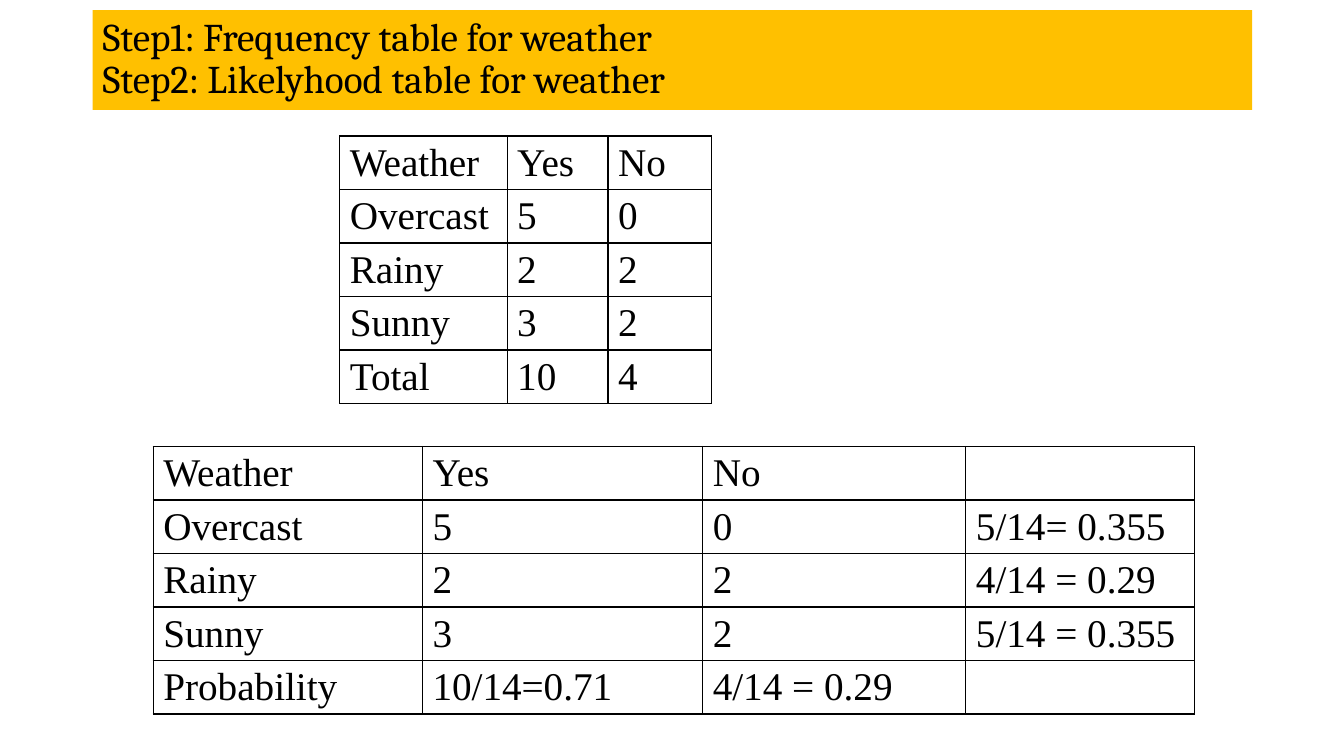
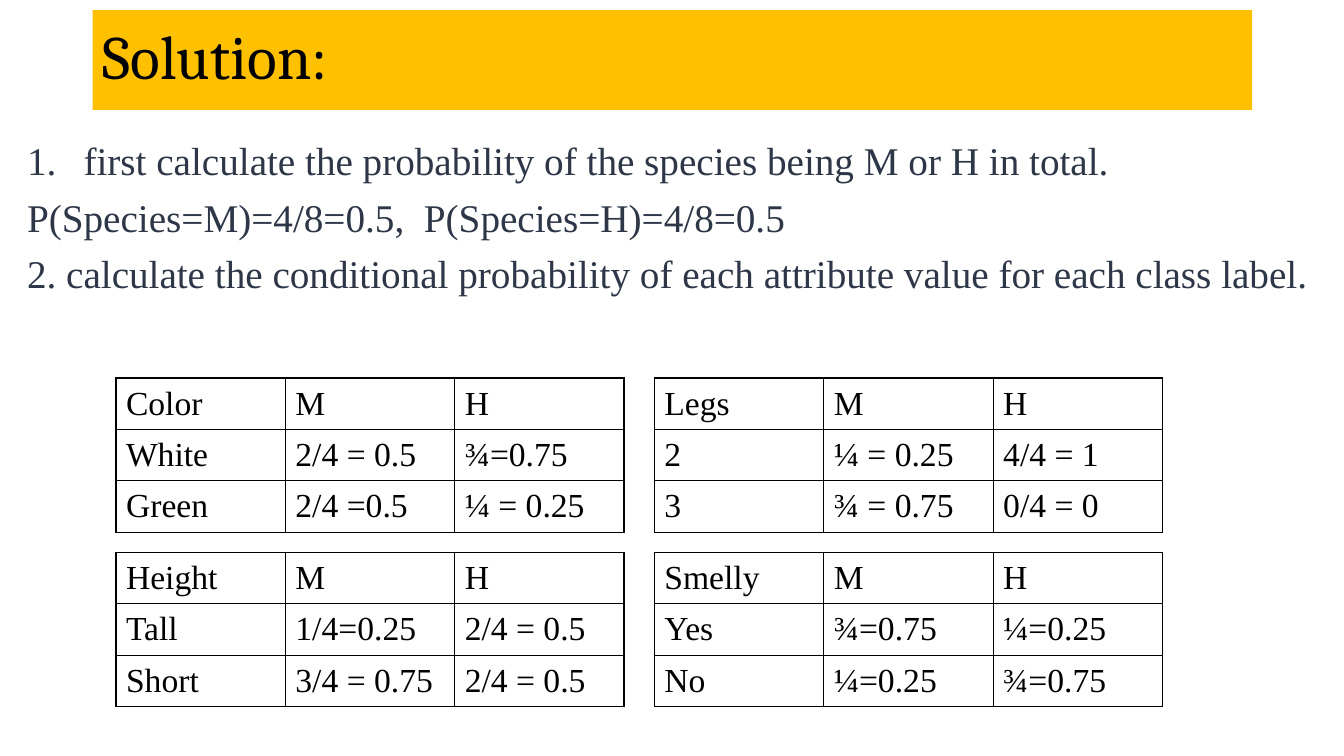
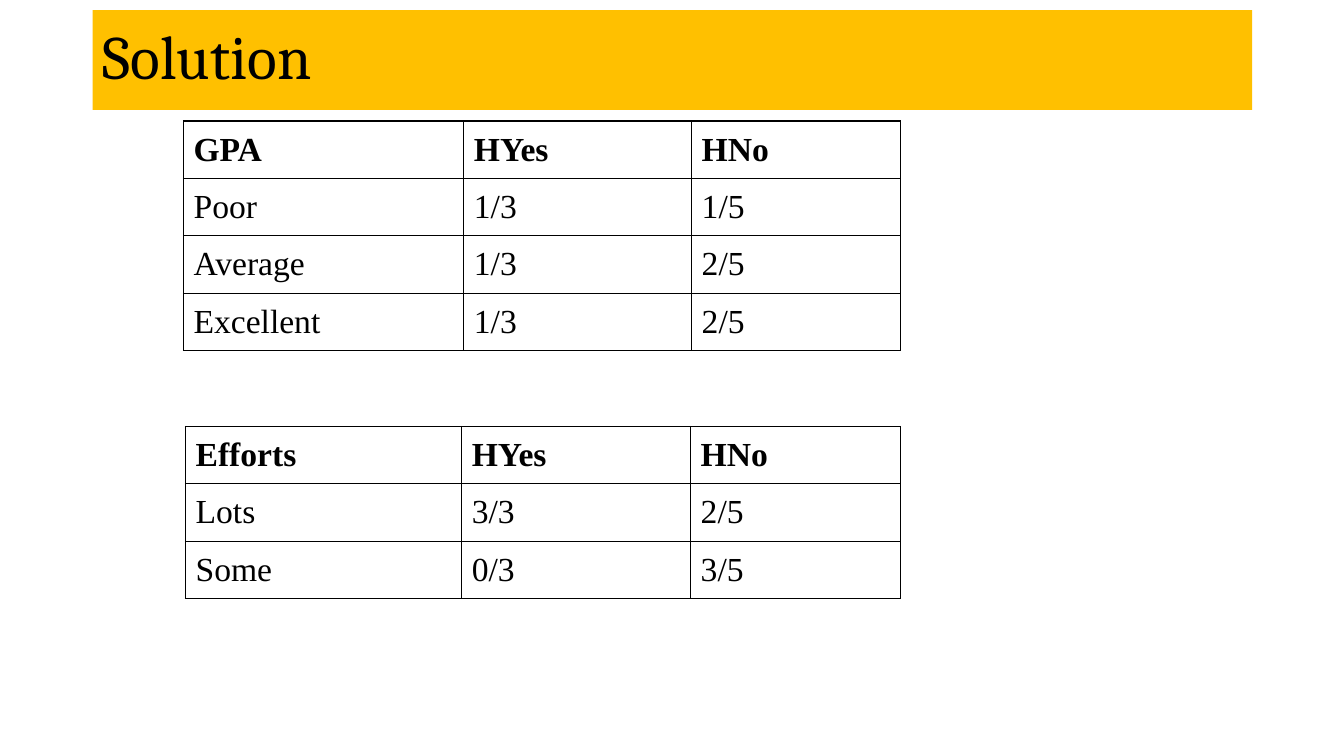
from dataclasses import dataclass

from lxml import etree
from pptx import Presentation
from pptx.dml.color import RGBColor
from pptx.enum.shapes import MSO_SHAPE
from pptx.enum.text import MSO_ANCHOR, PP_ALIGN
from pptx.oxml.ns import qn
from pptx.util import Inches, Pt

RECT = MSO_SHAPE.RECTANGLE
TOP, MIDDLE = MSO_ANCHOR.TOP, MSO_ANCHOR.MIDDLE
LEFT = PP_ALIGN.LEFT
BLANK_LAYOUT = 6


@dataclass(frozen=True)
class Theme:
    band: str = "FFC000"
    ink: str = "000000"
    body: str = "2D3748"
    title_font: str = "Cambria"
    text_font: str = "Times New Roman"
    title_size: int = 44
    large: int = 28
    medium: int = 24
    border: int = 1
    line_spacing: float = 0.9
    space_before: int = 10


THEME = Theme()
TITLE_BOX = (0.92, 0.1, 11.5, 0.99)


def style_runs(p, font, size, color, bold=False):
    for r in p.runs:
        r.font.name = font
        r.font.size = Pt(size)
        r.font.bold = bold
        r.font.color.rgb = RGBColor.from_string(color)


def add_title_band(slide, text, size=THEME.title_size):
    sp = slide.shapes.add_shape(RECT, *map(Inches, TITLE_BOX))
    sp.shadow.inherit = False
    sp.fill.solid()
    sp.fill.fore_color.rgb = RGBColor.from_string(THEME.band)
    sp.line.fill.background()
    tf = sp.text_frame
    tf.word_wrap = True
    tf.vertical_anchor = MIDDLE
    tf.text = text
    p = tf.paragraphs[0]
    p.alignment = LEFT
    p.line_spacing = THEME.line_spacing
    style_runs(p, THEME.title_font, size, THEME.ink)


def number_paragraph(p, indent):
    """Give the paragraph an automatic 1. 2. 3. number with a hanging indent."""
    pPr = p._p.get_or_add_pPr()
    pPr.set("marL", str(Inches(indent)))
    pPr.set("indent", str(-Inches(indent)))
    etree.SubElement(pPr, qn("a:buAutoNum"), type="arabicPeriod")


def add_steps(slide, box, lines):
    """Body text whose first line is numbered."""
    tf = slide.shapes.add_textbox(*map(Inches, box)).text_frame
    tf.word_wrap = True
    tf.text = "\n".join(lines)
    for i, p in enumerate(tf.paragraphs):
        p.line_spacing = THEME.line_spacing
        if i == 0:
            number_paragraph(p, 0.56)
        else:
            p.space_before = Pt(THEME.space_before)
        style_runs(p, THEME.text_font, THEME.large, THEME.body)


def set_borders(cell):
    tcPr = cell._tc.get_or_add_tcPr()
    for side in ("lnL", "lnR", "lnT", "lnB"):
        ln = etree.SubElement(tcPr, qn(f"a:{side}"), w=str(Pt(THEME.border)))
        fill = etree.SubElement(ln, qn("a:solidFill"))
        etree.SubElement(fill, qn("a:srgbClr"), val=THEME.ink)


def add_grid_table(slide, left, top, col_widths, row_height, rows,
                   size=THEME.medium, anchor=MIDDLE, bold_header=False):
    """Plain ruled table; each row is one string with cells split by |."""
    cells = [row.split("|") for row in rows]
    frame = slide.shapes.add_table(
        len(cells), len(col_widths), Inches(left), Inches(top),
        Inches(sum(col_widths)), Inches(row_height * len(cells)))
    table = frame.table
    table.first_row = table.horz_banding = False
    for column, width in zip(table.columns, col_widths):
        column.width = Inches(width)
    for i, row in enumerate(cells):
        table.rows[i].height = Inches(row_height)
        for j, text in enumerate(row):
            cell = table.cell(i, j)
            set_borders(cell)
            cell.fill.background()
            cell.vertical_anchor = anchor
            cell.text = text
            style_runs(cell.text_frame.paragraphs[0], THEME.text_font, size,
                       THEME.ink, bold_header and i == 0)


def build_weather(slide):
    add_title_band(slide, "Step1: Frequency table for weather\v"
                          "Step2: Likelyhood table for weather", THEME.large)
    frequency = ["Weather|Yes|No", "Overcast|5|0", "Rainy|2|2", "Sunny|3|2",
                 "Total|10|4"]
    likelihood = ["Weather|Yes|No|", "Overcast|5|0|5/14= 0.355",
                  "Rainy|2|2|4/14 = 0.29", "Sunny|3|2|5/14 = 0.355",
                  "Probability|10/14=0.71|4/14 = 0.29|"]
    for left, top, widths, rows in (
            (3.37, 1.35, (1.66, 1, 1.03), frequency),
            (1.52, 4.43, (2.67, 2.78, 2.61, 2.27), likelihood)):
        add_grid_table(slide, left, top, widths, 0.53, rows, THEME.large, TOP)


def build_species(slide):
    add_title_band(slide, "Solution:")
    add_steps(slide, (0.17, 1.36, 12.98, 5.39), [
        "first calculate the probability of the species being M or H in total.",
        "P(Species=M)=4/8=0.5,  P(Species=H)=4/8=0.5",
        "2. calculate the conditional probability of each attribute value "
        "for each class label."])
    attributes = [
        ["Color|M|H", "White|2/4 = 0.5|¾=0.75", "Green|2/4 =0.5|¼ = 0.25"],
        ["Legs|M|H", "2|¼ = 0.25|4/4 = 1", "3|¾ = 0.75|0/4 = 0"],
        ["Height|M|H", "Tall|1/4=0.25|2/4 = 0.5", "Short|3/4 = 0.75|2/4 = 0.5"],
        ["Smelly|M|H", "Yes|¾=0.75|¼=0.25", "No|¼=0.25|¾=0.75"],
    ]
    left, top, pitch_x, pitch_y = 1.15, 3.75, 5.34, 1.73
    for i, rows in enumerate(attributes):
        row, col = divmod(i, 2)
        add_grid_table(slide, left + col * pitch_x, top + row * pitch_y,
                       (1.68,) * 3, 0.51, rows)


def build_grades(slide):
    add_title_band(slide, "Solution")
    gpa = ["GPA|HYes|HNo", "Poor|1/3|1/5", "Average|1/3|2/5",
           "Excellent|1/3|2/5"]
    efforts = ["Efforts|HYes|HNo", "Lots|3/3|2/5", "Some|0/3|3/5"]
    for left, top, widths, rows in (
            (1.82, 1.2, (2.78, 2.26, 2.07), gpa),
            (1.84, 4.23, (2.74, 2.27, 2.08), efforts)):
        add_grid_table(slide, left, top, widths, 0.57, rows, bold_header=True)


def main():
    prs = Presentation()
    prs.slide_width, prs.slide_height = Inches(13.33), Inches(7.5)
    for build in (build_weather, build_species, build_grades):
        build(prs.slides.add_slide(prs.slide_layouts[BLANK_LAYOUT]))
    prs.save("out.pptx")


if __name__ == "__main__":
    main()
